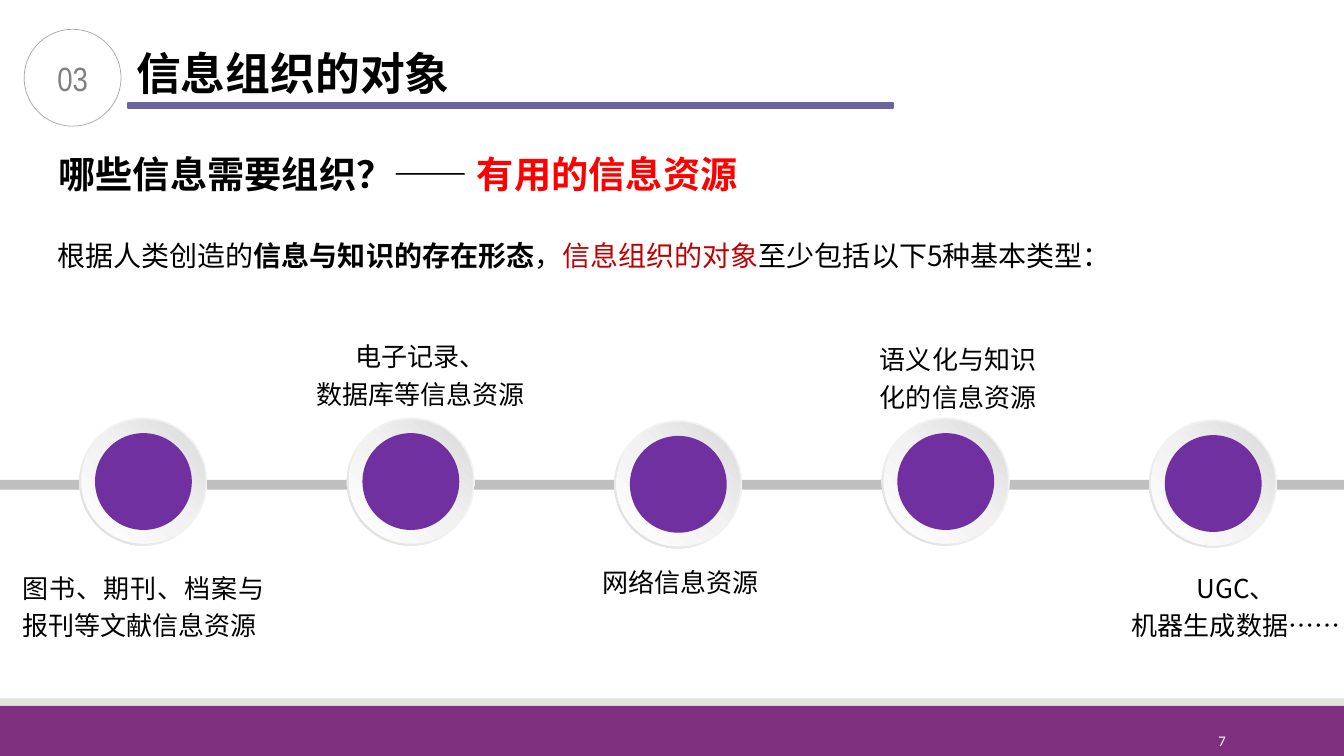
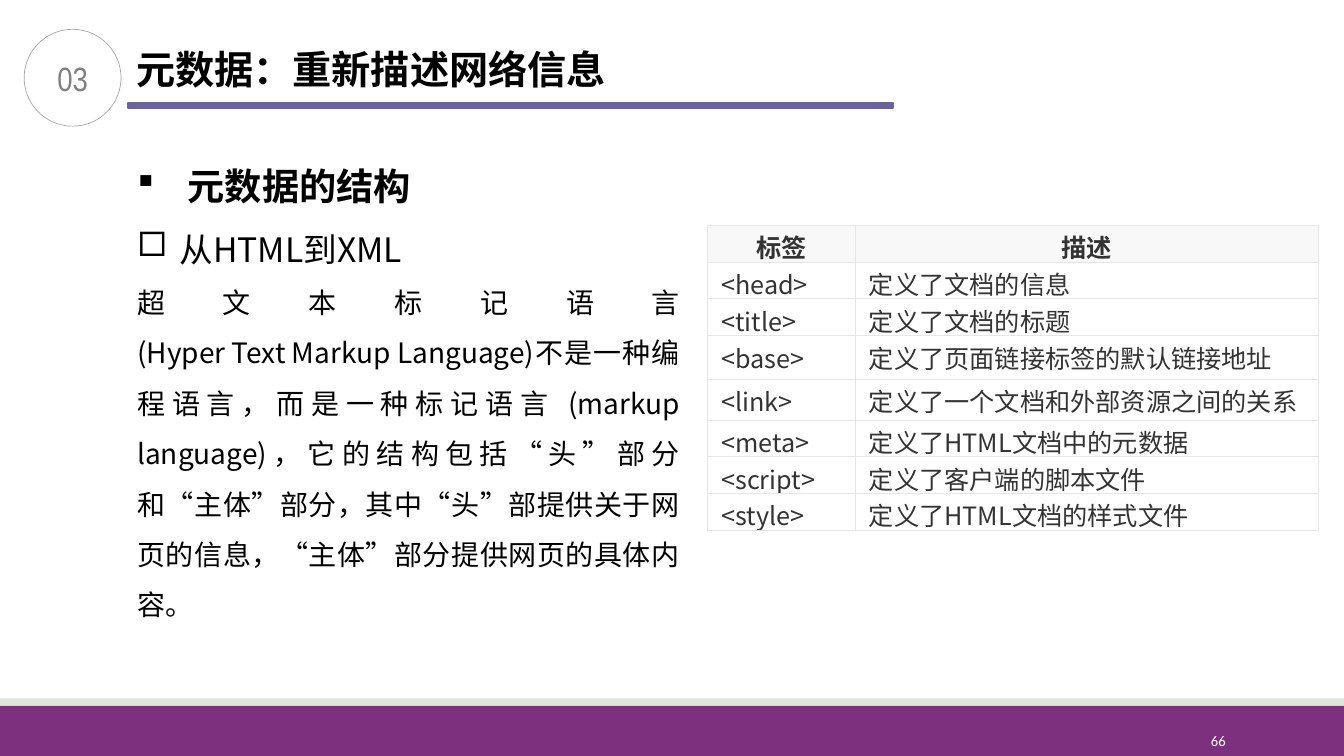
from dataclasses import dataclass

from lxml import etree
from pptx import Presentation
from pptx.dml.color import RGBColor
from pptx.enum.shapes import MSO_SHAPE
from pptx.enum.text import MSO_ANCHOR, PP_ALIGN
from pptx.oxml.ns import qn
from pptx.util import Cm, Pt

RECT, OVAL, DONUT = MSO_SHAPE.RECTANGLE, MSO_SHAPE.OVAL, MSO_SHAPE.DONUT
LEFT, CENTER, RIGHT, JUSTIFY = PP_ALIGN.LEFT, PP_ALIGN.CENTER, PP_ALIGN.RIGHT, PP_ALIGN.JUSTIFY
TOP, MIDDLE = MSO_ANCHOR.TOP, MSO_ANCHOR.MIDDLE
HARD_SPACE = chr(160)


@dataclass(frozen=True)
class Theme:
    font: str = "Noto Sans CJK SC"
    badge_font: str = "Arial Narrow"
    number_font: str = "Calibri"
    bullet_font: str = "Wingdings"
    black: str = "000000"
    white: str = "FFFFFF"
    red: str = "FF0000"
    dark_red: str = "C00000"
    band: str = "7D307E"
    strip: str = "E0E4DB"
    rule: str = "6964A0"
    badge_line: str = "A6A6A6"
    badge_text: str = "808080"
    timeline: str = "BFBFBF"
    disc: str = "7030A0"
    rim: tuple = ((0, "F2F2F2"), (55, "F2F2F2"), (100, "D9D9D9"))
    plate: tuple = ((0, "FFFFFF"), (51, "F2F2F2"), (100, "D9D9D9"))
    table_text: str = "333333"
    table_head: str = "F8F8F8"
    table_line: str = "E6E6E6"
    heading: float = 26.6
    subheading: float = 24
    body: float = 20
    label: float = 18.6
    cell: float = 18
    number: float = 10.5


THEME = Theme()
SLIDE_W, SLIDE_H = 33.87, 19.05
SECTION = "03"

OBJECTS = {"title": "信息组织的对象", "size": 32, "box": (8.53, 1.63), "number": "7"}
QUESTION = [("哪些信息需要组织？—— ", {}), ("有用的信息资源", {"color": THEME.red})]
INTRO = [
    ("根据人类创造的", {}),
    ("信息与知识的存在形态", {"bold": True}),
    ("，", {}),
    ("信息组织的对象", {"color": THEME.dark_red}),
    ("至少包括以下5种基本类型：", {}),
]
RESOURCE_TYPES = [
    (10.52, (0.23, 14.1, 6.78, 2.18), ["图书、期刊、档案与报刊等文献信息资源"],
     {"align": JUSTIFY, "spacing": 1.2}),
    (10.52, (7.32, 8.26, 6.55, 2.26), ["电子记录、", "数据库等信息资源"],
     {"align": CENTER, "spacing": 1.2}),
    (10.59, (13.59, 14.1, 8.38, 1.14), ["网络信息资源"],
     {"align": JUSTIFY, "indent": (1.27, 0)}),
    (10.52, (20.88, 8.33, 6.53, 2.18), ["语义化与知识", "化的信息资源"],
     {"align": CENTER, "spacing": 1.2}),
    (10.57, (27.99, 14.1, 6.32, 2.18), ["UGC、", "机器生成数据……"],
     {"align": CENTER, "spacing": 1.2}),
]
MARKER_LEFT, MARKER_PITCH = 2, 6.74
RIM_SIZE, PLATE_SIZE, DISC_SIZE = 3.23, 3.12, 2.44

METADATA = {"title": "元数据：重新描述网络信息", "size": 28, "box": (12.55, 1.45), "number": "66"}
LANGUAGE_NAME = HARD_SPACE.join(("Hyper", "Text", "Markup", "Language"))
STRUCTURE = [
    ("元数据的结构",
     {"size": THEME.heading, "bold": True, "bullet": "§", "indent": (1.27, -1.27)}),
    ("从HTML到XML",
     {"size": THEME.subheading, "bullet": "¨", "indent": (1.07, -1.07), "align": JUSTIFY}),
    (f"超文本标记语言({LANGUAGE_NAME})不是一种编程语言，而是一种标记语言{HARD_SPACE}"
     "(markup language)，它的结构包括“头”部分和“主体”部分，其中“头”部提供关于网页的信息，"
     "“主体”部分提供网页的具体内容。",
     {"size": THEME.body, "align": JUSTIFY}),
]
TAGS = [
    ("标签", "描述"),
    ("<head>", "定义了文档的信息"),
    ("<title>", "定义了文档的标题"),
    ("<base>", "定义了页面链接标签的默认链接地址"),
    ("<link>", "定义了一个文档和外部资源之间的关系"),
    ("<meta>", "定义了HTML文档中的元数据"),
    ("<script>", "定义了客户端的脚本文件"),
    ("<style>", "定义了HTML文档的样式文件"),
]
TAG_COLUMNS = (3.72, 11.67)
TAG_ROW, TALL_ROWS = 0.92, {3: 1.11, 4: 1.03}


def rgb(value):
    return RGBColor.from_string(value)


def write(frame, text, size=THEME.label, color=THEME.black, bold=False, font=THEME.font,
          align=LEFT, spacing=None, indent=None, bullet=None):
    first = frame.paragraphs[0]
    paragraph = frame.add_paragraph() if first.runs else first
    properties = paragraph._p.get_or_add_pPr()
    if indent:
        properties.set("marL", str(Cm(indent[0])))
        properties.set("indent", str(Cm(indent[1])))
    if bullet:
        etree.SubElement(properties, qn("a:buFont"), typeface=THEME.bullet_font, charset="2")
        etree.SubElement(properties, qn("a:buChar"), char=bullet)
    paragraph.alignment = align
    if spacing:
        paragraph.line_spacing = spacing
    for words, changes in [(text, {})] if isinstance(text, str) else text:
        run = paragraph.add_run()
        run.text = words
        run.font.size = Pt(size)
        run.font.bold = changes.get("bold", bold)
        run.font.color.rgb = rgb(changes.get("color", color))
        run.font.name = font
        etree.SubElement(run._r.get_or_add_rPr(), qn("a:ea"), typeface=font)


def text_box(slide, box, margins=(0.25, 0.13), anchor=TOP, wrap=True):
    frame = slide.shapes.add_textbox(*map(Cm, box)).text_frame
    frame.word_wrap = wrap
    frame.vertical_anchor = anchor
    frame.margin_left = frame.margin_right = Cm(margins[0])
    frame.margin_top = frame.margin_bottom = Cm(margins[1])
    return frame


def add_figure(shapes, kind, box, fill=None, line=None, width=1):
    figure = shapes.add_shape(kind, *map(Cm, box))
    figure.shadow.inherit = False
    if fill:
        figure.fill.solid()
        figure.fill.fore_color.rgb = rgb(fill)
    else:
        figure.fill.background()
    if line:
        figure.line.color.rgb = rgb(line)
        figure.line.width = Pt(width)
    else:
        figure.line.fill.background()
    return figure


def shade(figure, stops, angle):
    figure.fill.gradient()
    figure.fill.gradient_angle = 360 - angle
    stop_list = figure._element.spPr.find(qn("a:gradFill")).find(qn("a:gsLst"))
    for old in list(stop_list):
        stop_list.remove(old)
    for position, color in stops:
        stop = etree.SubElement(stop_list, qn("a:gs"), pos=str(position * 1000))
        etree.SubElement(stop, qn("a:srgbClr"), val=color)


def add_page(deck, page):
    slide = deck.slides.add_slide(deck.slide_layouts[6])
    add_figure(slide.shapes, RECT, (0, 17.78, SLIDE_W, 1.27), THEME.band)
    add_figure(slide.shapes, RECT, (0, 17.6, SLIDE_W, 0.18), THEME.strip)
    write(text_box(slide, (27.51, 18.15, 3.63, 1.02), anchor=MIDDLE), page["number"],
          size=THEME.number, color=THEME.white, font=THEME.number_font, align=RIGHT)
    add_figure(slide.shapes, RECT, (3.23, 2.59, 19.28, 0.13), THEME.rule, THEME.rule, 1.25)
    badge = add_figure(slide.shapes, OVAL, (0.61, 0.74, 2.44, 2.44),
                       line=THEME.badge_line, width=0.5)
    badge.text_frame.vertical_anchor = MIDDLE
    write(badge.text_frame, SECTION, size=THEME.subheading, color=THEME.badge_text,
          font=THEME.badge_font, align=CENTER)
    write(text_box(slide, (3.18, 1.02, *page["box"]), wrap=False), page["title"],
          size=page["size"], bold=True)
    return slide


def add_marker(slide, left, top):
    shapes = slide.shapes.add_group_shape().shapes

    def centred(size):
        offset = (RIM_SIZE - size) / 2
        return left + offset, top + offset, size, size

    rim = add_figure(shapes, DONUT, centred(RIM_SIZE))
    rim.adjustments[0] = 0.05
    shade(rim, THEME.rim, 135)
    shade(add_figure(shapes, OVAL, centred(PLATE_SIZE)), THEME.plate, 315)
    add_figure(shapes, OVAL, centred(DISC_SIZE), THEME.disc)


def add_objects_page(deck):
    slide = add_page(deck, OBJECTS)
    write(text_box(slide, (1.22, 3.68, 20.83, 1.4)), QUESTION, size=THEME.heading, bold=True)
    write(text_box(slide, (0.46, 5.66, 28.47, 1.22)), INTRO, size=THEME.body,
          align=JUSTIFY, spacing=1.25, indent=(0, 0.74))
    add_figure(slide.shapes, RECT, (0, 12.09, SLIDE_W, 0.25), THEME.timeline)
    for index, (top, label_box, lines, style) in enumerate(RESOURCE_TYPES):
        add_marker(slide, MARKER_LEFT + index * MARKER_PITCH, top)
        label = text_box(slide, label_box, margins=(0.33, 0.17))
        for line in lines:
            write(label, line, **style)


def add_borders(cell):
    properties = cell._tc.get_or_add_tcPr()
    for side in ("a:lnL", "a:lnR", "a:lnT", "a:lnB"):
        border = etree.SubElement(properties, qn(side), w=str(Pt(0.75)))
        fill = etree.SubElement(border, qn("a:solidFill"))
        etree.SubElement(fill, qn("a:srgbClr"), val=THEME.table_line)


def add_tag_table(slide):
    heights = [TALL_ROWS.get(index, TAG_ROW) for index in range(len(TAGS))]
    box = (17.83, 5.68, sum(TAG_COLUMNS), sum(heights))
    table = slide.shapes.add_table(len(TAGS), len(TAG_COLUMNS), *map(Cm, box)).table
    table.horz_banding = False
    for column, width in zip(table.columns, TAG_COLUMNS):
        column.width = Cm(width)
    for index, (row, height, texts) in enumerate(zip(table.rows, heights, TAGS)):
        row.height = Cm(height)
        is_head = index == 0
        for cell, text in zip(row.cells, texts):
            cell.vertical_anchor = MIDDLE
            cell.margin_left = cell.margin_right = Cm(0.35)
            cell.margin_top = cell.margin_bottom = Cm(0.08)
            add_borders(cell)
            cell.fill.solid()
            cell.fill.fore_color.rgb = rgb(THEME.table_head if is_head else THEME.white)
            write(cell.text_frame, text, size=THEME.cell, color=THEME.table_text,
                  bold=is_head, align=CENTER if is_head else LEFT)


def add_metadata_page(deck):
    slide = add_page(deck, METADATA)
    body = text_box(slide, (3.21, 3.43, 14.17, 13))
    for text, style in STRUCTURE:
        write(body, text, spacing=1.5, **style)
    add_tag_table(slide)


def main():
    deck = Presentation()
    deck.slide_width, deck.slide_height = Cm(SLIDE_W), Cm(SLIDE_H)
    add_objects_page(deck)
    add_metadata_page(deck)
    deck.save("out.pptx")


if __name__ == "__main__":
    main()
